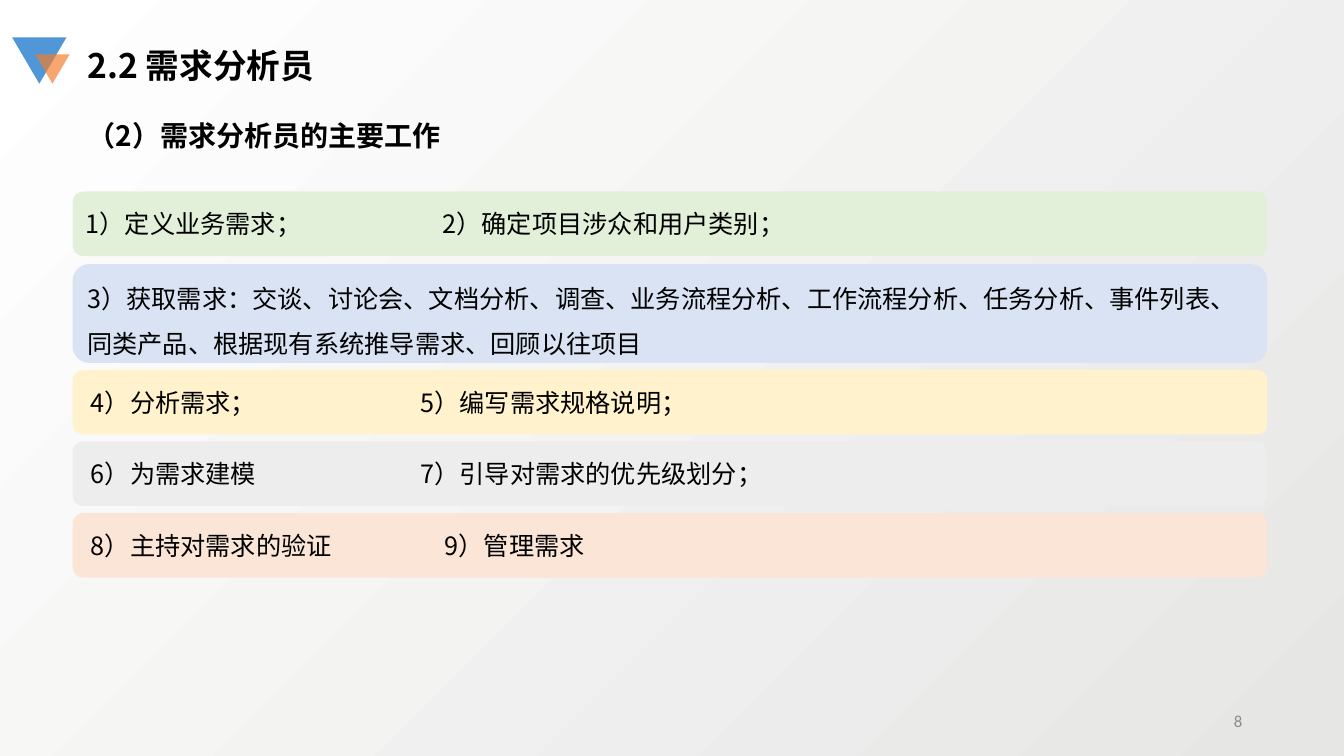
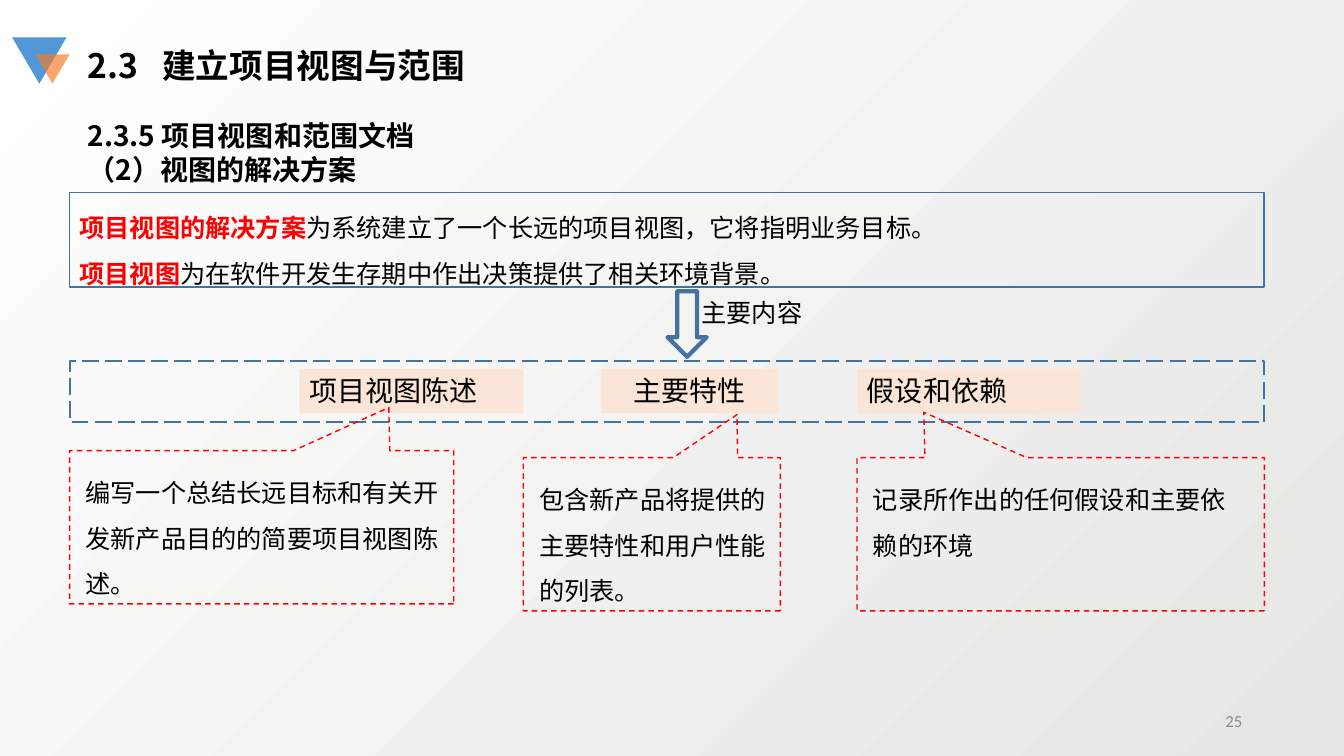
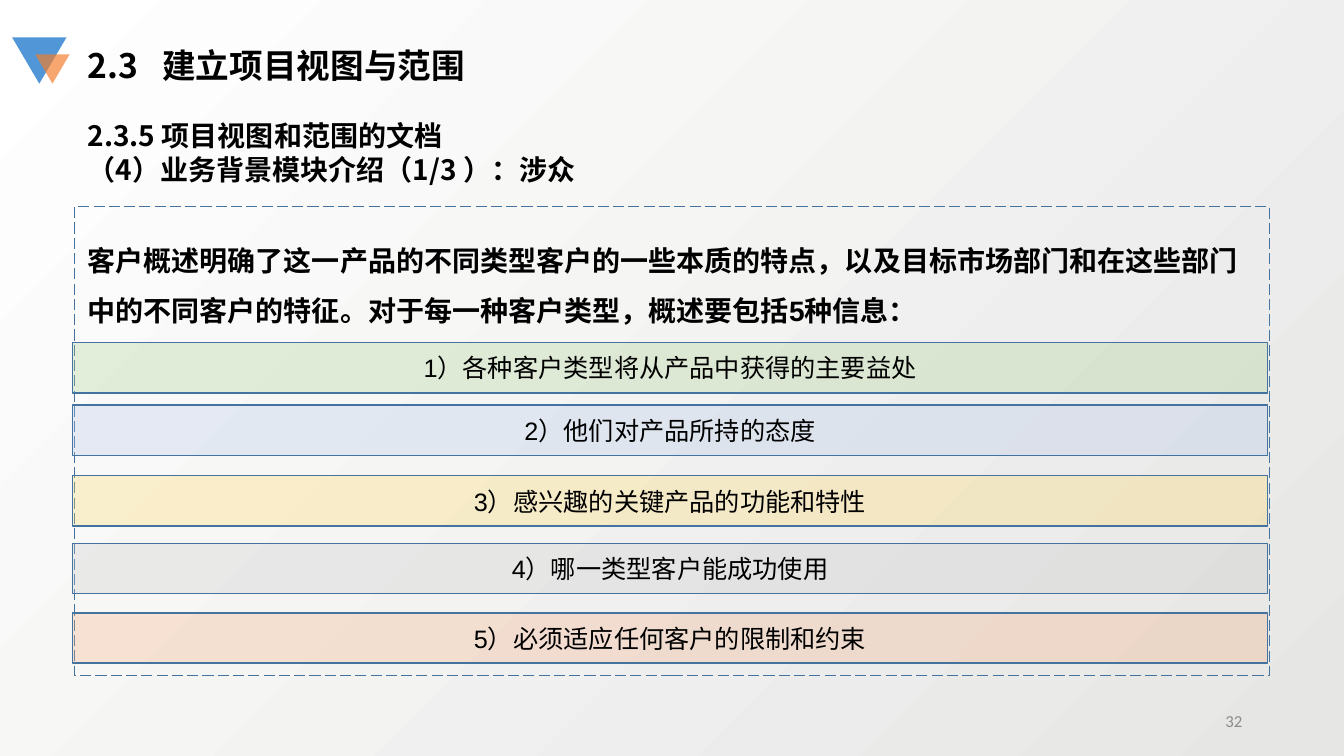
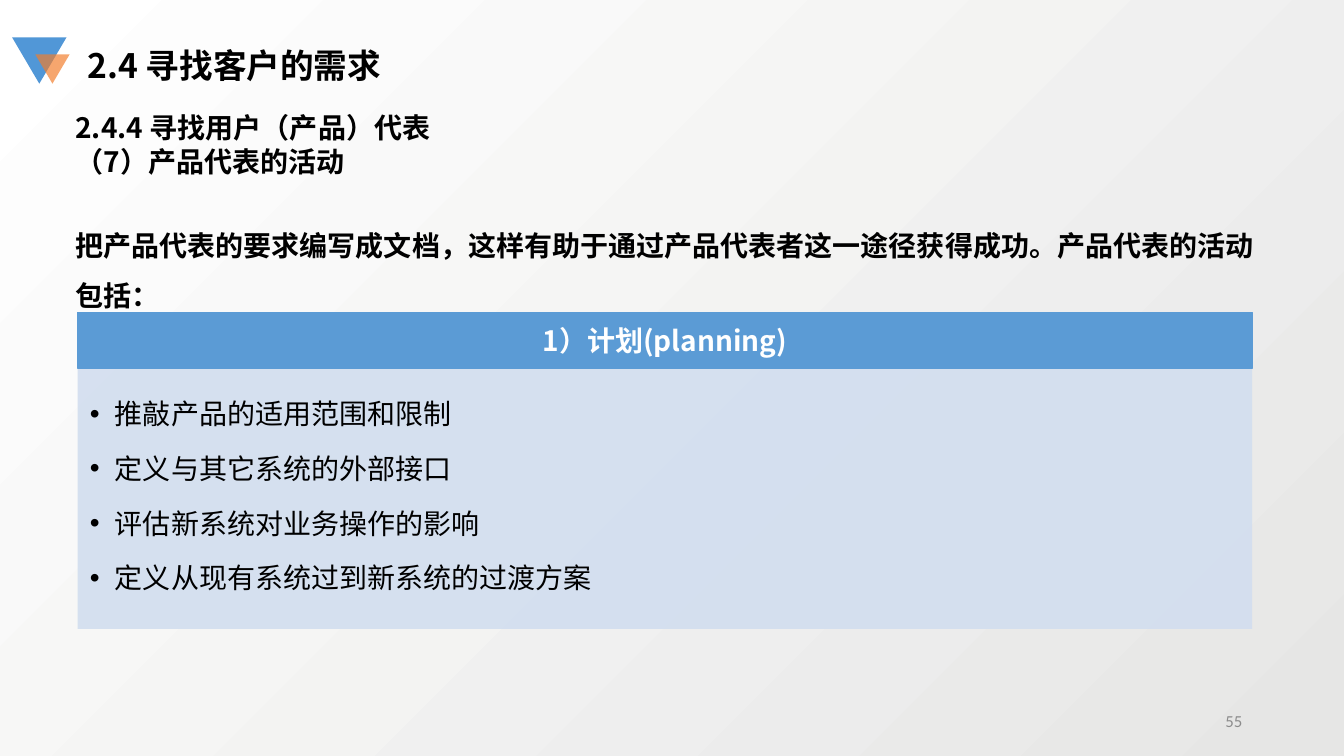
from lxml import etree
from pptx import Presentation
from pptx.dml.color import RGBColor
from pptx.enum.dml import MSO_LINE
from pptx.enum.shapes import MSO_SHAPE as SHAPE
from pptx.enum.text import MSO_ANCHOR as ANCHOR, MSO_AUTO_SIZE, PP_ALIGN as ALIGN
from pptx.oxml.ns import qn
from pptx.util import Inches, Pt

COLORS = {
    "black": "000000", "white": "FFFFFF", "red": "FF0000", "number": "8C8C8C",
    "shade": "E6E6E5", "outline": "43739E", "blue": "5197D7", "orange": "F37D2A",
    "green tint": "E2F0D9", "blue tint": "DAE3F3", "yellow tint": "FFF2CC",
    "grey tint": "EDEDED", "orange tint": "FBE5D6",
    "green bar": "A9D18E", "blue bar": "B4C7E7", "yellow bar": "FFD966",
    "grey bar": "C9C9C9", "orange bar": "F4B183",
    "header": "5B9BD5", "panel": "D2DEEF",
}
RGB = {name: RGBColor.from_string(value) for name, value in COLORS.items()}
CJK = "Noto Sans CJK SC"
LEFT, WIDTH = 0.72, 11.85


def add_box(page, kind, at, fill=None, opacity=100, line=None, weight=1, dash=None):
    """Add a shape, or a text box when kind is None."""
    at = [Inches(value) for value in at]
    if kind is None:
        return page.shapes.add_textbox(*at)
    box = page.shapes.add_shape(kind, *at)
    box.shadow.inherit = False
    if fill:
        box.fill.solid()
        box.fill.fore_color.rgb = RGB[fill]
        if opacity < 100:
            color = box.fill._xPr.find(qn("a:solidFill"))[0]
            etree.SubElement(color, qn("a:alpha"), val=str(opacity * 1000))
    else:
        box.fill.background()
    if line:
        box.line.color.rgb = RGB[line]
        box.line.width = Pt(weight)
        if dash:
            box.line.dash_style = dash
    else:
        box.line.fill.background()
    return box


def write(box, lines, size, font="Arial", color="black", bold=False, align=ALIGN.LEFT,
          anchor=ANCHOR.TOP, spacing=None, tab=None):
    frame = box.text_frame
    frame.word_wrap = True
    frame.auto_size = MSO_AUTO_SIZE.NONE
    frame.vertical_anchor = anchor
    frame.text = "\n".join(lines)
    for para in frame.paragraphs:
        para.alignment = align
        if spacing:
            para.line_spacing = spacing
        if tab:
            tabs = etree.SubElement(para._p.get_or_add_pPr(), qn("a:tabLst"))
            etree.SubElement(tabs, qn("a:tab"), pos=str(Inches(tab)), algn="l")
        for span in para.runs:
            span.font.name = font
            span.font.size = Pt(size)
            span.font.bold = bold
            span.font.color.rgb = RGB[color]
    return frame


deck = Presentation()
deck.slide_width, deck.slide_height = Inches(13.33), Inches(7.5)

# Shared background
background = deck.slide_master.background.fill
background.gradient()
background.gradient_angle = 135
for stop, name in zip(background.gradient_stops, ("shade", "white")):
    stop.color.rgb = RGB[name]

# Shared frame: title, corner triangles, subtitle, page number
SECTIONS = [
    (5, "2.2 需求分析员", ["（2）需求分析员的主要工作"], (0.77, 1.13), 8),
    (5, "2.3\t建立项目视图与范围",
     ["2.3.5 项目视图和范围文档", "（2）视图的解决方案"], (0.77, 1.13), 25),
    (5, "2.3\t建立项目视图与范围",
     ["2.3.5 项目视图和范围的文档", "（4）业务背景模块介绍（1/3 ）：涉众"], (0.77, 1.13), 32),
    (1, "2.4 寻找客户的需求",
     ["2.4.4 寻找用户（产品）代表", "（7）产品代表的活动"], (0.65, 1.05), 55),
]
pages = []
for layout, heading, subtitle, corner, number in SECTIONS:
    page = deck.slides.add_slide(deck.slide_layouts[layout])
    title = page.shapes.title
    title.left, title.top = Inches(0.77), Inches(0.4)
    title.width, title.height = Inches(8.49), Inches(0.5)
    write(title, [heading], 24, CJK, bold=True, tab=0.74 if "\t" in heading else None)
    for at, fill, opacity in (((0.12, 0.37, 0.54, 0.46), "blue", 100),
                              ((0.35, 0.54, 0.34, 0.29), "orange", 68)):
        add_box(page, SHAPE.ISOSCELES_TRIANGLE, at, fill, opacity).rotation = 180
    box = add_box(page, None, (*corner, 8.49, 0.1 + 0.335 * len(subtitle)))
    write(box, subtitle, 20, CJK, bold=True)
    box = add_box(page, None, (9.42, 6.95, 3, 0.4))
    write(box, [str(number)], 12, "Calibri", "number", align=ALIGN.RIGHT, anchor=ANCHOR.MIDDLE)
    pages.append(page)
duties_page, vision_page, customer_page, activity_page = pages

# Slide 1: duties of the analyst
DUTIES = [
    (1.9, 0.64, "green tint", "1）定义业务需求；\t2）确定项目涉众和用户类别；", 0.1, 3.54, None),
    (2.62, 0.98, "blue tint", "3）获取需求：交谈、讨论会、文档分析、调查、业务流程分析、工作流程分析、任务分析、"
     "事件列表、同类产品、根据现有系统推导需求、回顾以往项目", 0.1, None, 1.5),
    (3.67, 0.64, "yellow tint", "4）分析需求；\t5）编写需求规格说明；", 0.15, 3.27, None),
    (4.38, 0.64, "grey tint", "6）为需求建模\t7）引导对需求的优先级划分；", 0.15, 3.27, None),
    (5.09, 0.64, "orange tint", "8）主持对需求的验证\t9）管理需求", 0.15, 3.51, None),
]
for top, height, fill, text, margin, tab, spacing in DUTIES:
    box = add_box(duties_page, SHAPE.ROUNDED_RECTANGLE, (LEFT, top, WIDTH, height), fill)
    frame = write(box, [text], 18, CJK, anchor=ANCHOR.MIDDLE, spacing=spacing, tab=tab)
    frame.margin_left = Inches(margin)

# Slide 2: definition
add_box(vision_page, SHAPE.RECTANGLE, (0.69, 3.58, WIDTH, 0.61),
        line="outline", weight=1.5, dash=MSO_LINE.LONG_DASH)
DEFINITIONS = [
    ("项目视图的解决方案", "为系统建立了一个长远的项目视图，它将指明业务目标。"),
    ("项目视图", "为在软件开发生存期中作出决策提供了相关环境背景。"),
]
box = add_box(vision_page, SHAPE.RECTANGLE, (0.69, 1.91, WIDTH, 0.94),
              line="outline", weight=1.25)
frame = write(box, [term for term, _ in DEFINITIONS], 18, color="red", bold=True, spacing=1.5)
for para, (_, meaning) in zip(frame.paragraphs, DEFINITIONS):
    span = para.add_run()
    span.text = meaning
    span.font.name, span.font.size = "Arial", Pt(18)
    span.font.bold = False
    span.font.color.rgb = RGB["black"]
add_box(vision_page, SHAPE.DOWN_ARROW, (6.62, 2.89, 0.39, 0.65), line="outline", weight=3)
write(add_box(vision_page, None, (6.86, 2.9, 1.3, 0.4)), ["主要内容"], 18, "Calibri")

# Slide 2: contents with callouts
CONTENTS = [
    ("项目视图陈述", 2.97, 2.22, ALIGN.LEFT, "编写一个总结长远目标和有关开发新产品目的的简要项目视图陈述。",
     0.69, 4.47, 3.81, 3.7, (-0.331, 0.781)),
    ("主要特性", 5.96, 1.76, ALIGN.CENTER, "包含新产品将提供的主要特性和用户性能的列表。",
     5.19, 4.54, 2.55, 2.48, (-0.331, 0.781)),
    ("假设和依赖", 8.5, 2.22, ALIGN.LEFT, "记录所作出的任何假设和主要依赖的环境",
     8.5, 4.54, 4.04, 3.92, (0.336, 0.796)),
]
for label, x, width, align, note, left, top, span_width, note_width, pointer in CONTENTS:
    box = add_box(vision_page, SHAPE.RECTANGLE, (x, 3.66, width, 0.44), "orange tint")
    write(box, [label], 20, align=align)
    callout = add_box(vision_page, SHAPE.RECTANGULAR_CALLOUT, (left, top, span_width, 1.52),
                      line="red", dash=MSO_LINE.DASH)
    callout.rotation = 180
    callout.adjustments[0], callout.adjustments[1] = pointer
    box = add_box(vision_page, None, (left + 0.06, top + 0.07, note_width, 1.39))
    write(box, [note], 18, spacing=1.5)

# Slide 3: customer profile
add_box(customer_page, SHAPE.RECTANGLE, (0.74, 2.05, WIDTH, 4.65),
        line="outline", dash=MSO_LINE.LONG_DASH)
box = add_box(customer_page, None, (0.77, 2.2, 11.68, 1.03))
write(box, ["客户概述明确了这一产品的不同类型客户的一些本质的特点，以及目标市场部门和在这些部门中的不同客户的特征。"
            "对于每一种客户类型，概述要包括5种信息："], 20, bold=True, spacing=1.5)
PROFILE = [
    (3.4, "green bar", "1）各种客户类型将从产品中获得的主要益处"),
    (4.02, "blue bar", "2）他们对产品所持的态度"),
    (4.72, "yellow bar", "3）感兴趣的关键产品的功能和特性"),
    (5.39, "grey bar", "4）哪一类型客户能成功使用"),
    (6.08, "orange bar", "5）必须适应任何客户的限制和约束"),
]
for top, fill, text in PROFILE:
    bar = add_box(customer_page, SHAPE.RECTANGLE, (LEFT, top, WIDTH, 0.5), fill, 30, "outline")
    write(bar, [text], 18, align=ALIGN.CENTER, anchor=ANCHOR.MIDDLE)

# Slide 4: introduction and header
box = add_box(activity_page, None, (0.65, 2.05, 11.9, 1.11))
write(box, ["把产品代表的要求编写成文档，这样有助于通过产品代表者这一途径获得成功。产品代表的活动包括："],
      20, CJK, bold=True, spacing=1.5)
header = add_box(activity_page, SHAPE.RECTANGLE, (0.77, 3.1, 11.65, 0.55), "header", line="header")
write(header, ["1）计划(planning)"], 20, CJK, "white", True, ALIGN.CENTER, ANCHOR.MIDDLE)

# Slide 4: bullet list
panel = activity_page.placeholders[1]
panel.left, panel.top = Inches(0.77), Inches(3.65)
panel.width, panel.height = Inches(11.65), Inches(2.59)
panel.fill.solid()
panel.fill.fore_color.rgb = RGB["panel"]
etree.SubElement(panel.fill._xPr.find(qn("a:solidFill"))[0], qn("a:alpha"), val="90000")
frame = write(panel, ["推敲产品的适用范围和限制", "定义与其它系统的外部接口", "评估新系统对业务操作的影响",
                      "定义从现有系统过到新系统的过渡方案"], 20, CJK, spacing=1.5)
frame.margin_left = frame.margin_top = Inches(0.12)
for para in frame.paragraphs:
    para.space_before, para.space_after = Pt(0), Pt(3)
    properties = para._p.get_or_add_pPr()
    properties.set("marL", str(Inches(0.25)))
    properties.set("indent", str(Inches(-0.25)))
    etree.SubElement(properties, qn("a:buChar"), char="•")

deck.save("out.pptx")
